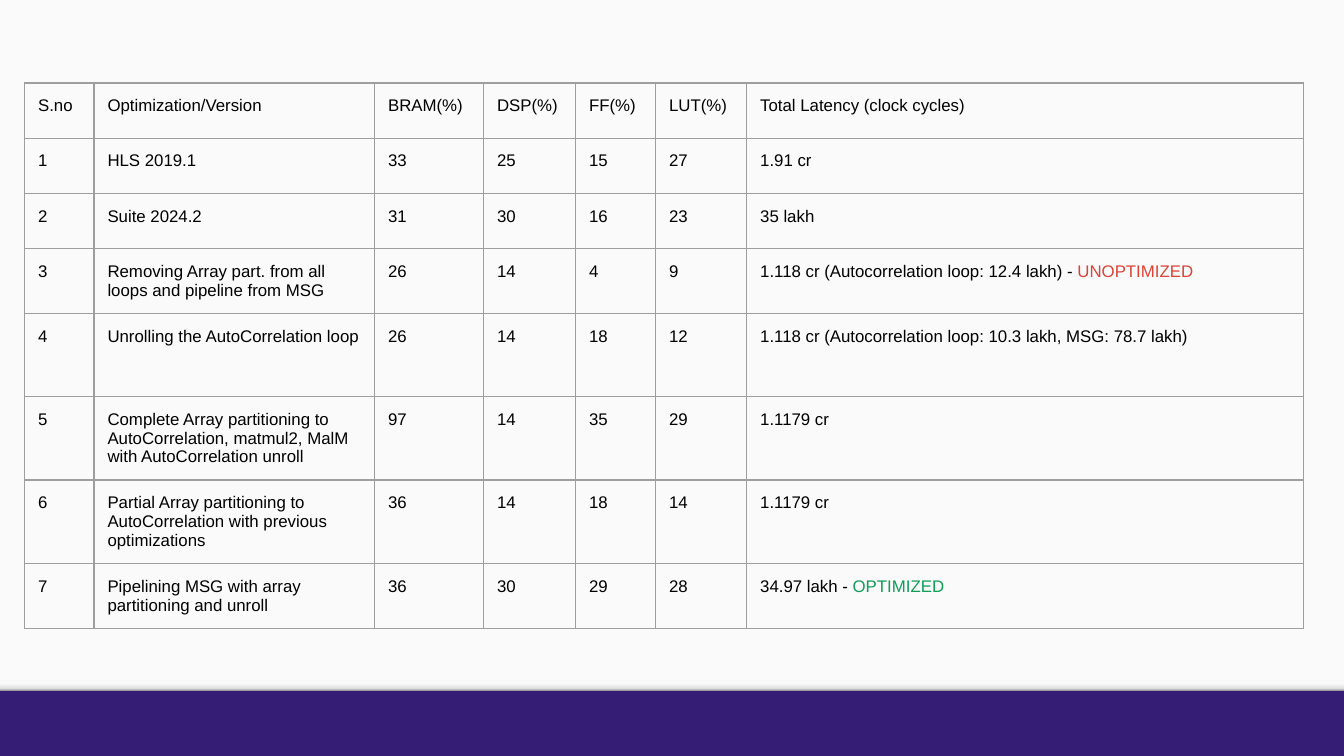
"""Build a slide with a table comparing hardware resource use and latency per optimization."""
from copy import deepcopy

from pptx import Presentation
from pptx.dml.color import RGBColor
from pptx.enum import shapes
from pptx.oxml import parse_xml
from pptx.oxml.ns import nsdecls, qn
from pptx.util import Pt

PURPLE = RGBColor(0x35, 0x1C, 0x75)
PAPER = RGBColor(0xFA, 0xFA, 0xFA)
BLACK = RGBColor(0, 0, 0)
RED = RGBColor(0xDB, 0x44, 0x37)
GREEN = RGBColor(0x0F, 0x9D, 0x58)
BORDER = RGBColor(0x9E, 0x9E, 0x9E)
SHADE = [
    (0, RGBColor(0xF9, 0xF9, 0xF9)),
    (0.36, RGBColor(0xF9, 0xF9, 0xF9)),
    (0.8, RGBColor(0xDE, 0xDE, 0xDE)),
    (1, RGBColor(0x99, 0x99, 0x99)),
]

HEADINGS = ["S.no", "Optimization/Version", "BRAM(%)", "DSP(%)", "FF(%)", "LUT(%)",
            "Total Latency (clock cycles)"]
VERSIONS = [
    ("HLS 2019.1", 33, 25, 15, 27, "1.91 cr"),
    ("Suite 2024.2", 31, 30, 16, 23, "35 lakh"),
    ("Removing Array part. from all loops and pipeline from MSG", 26, 14, 4, 9,
     "1.118 cr (Autocorrelation loop: 12.4 lakh) - "),
    ("Unrolling the AutoCorrelation loop", 26, 14, 18, 12,
     "1.118 cr (Autocorrelation loop: 10.3 lakh, MSG: 78.7 lakh)"),
    ("Complete Array partitioning to AutoCorrelation, matmul2, MalM with AutoCorrelation unroll",
     97, 14, 35, 29, "1.1179 cr"),
    ("Partial Array partitioning to AutoCorrelation with previous optimizations",
     36, 14, 18, 14, "1.1179 cr"),
    ("Pipelining MSG with array partitioning and unroll", 36, 30, 29, 28, "34.97 lakh - "),
]
VERDICTS = {3: ("UNOPTIMIZED", RED), 7: ("OPTIMIZED", GREEN)}

WIDTH, HEIGHT = 720, 405
PAPER_HEIGHT, SHADE_HEIGHT = 370, 5.8
TABLE_LEFT, TABLE_TOP = 13.2, 44.5
COLUMN_WIDTHS = [37.2, 150.3, 58.4, 49.3, 42.9, 48.8, 298.4]
ROW_HEIGHTS = [29.6, 29.6, 29.6, 34.6, 44.6, 44.6, 44.6, 34.6]
INSET = Pt(7.2)


def add_band(slide, top, height):
    band = slide.shapes.add_shape(
        shapes.MSO_SHAPE.RECTANGLE, 0, Pt(top), Pt(WIDTH), Pt(height))
    band.shadow.inherit = False
    band.line.fill.background()
    return band


def shade(band):
    band.fill.gradient()
    band.fill.gradient_angle = 270
    stop_list = band.fill._xPr.find(".//" + qn("a:gsLst"))
    for _ in SHADE[2:]:
        stop_list.append(deepcopy(stop_list[0]))
    for stop, (position, color) in zip(band.fill.gradient_stops, SHADE):
        stop.position = position
        stop.color.rgb = color


def outline(cell):
    properties = cell._tc.get_or_add_tcPr()
    for index, side in enumerate(("lnL", "lnR", "lnT", "lnB")):
        properties.insert(index, parse_xml(
            f'<a:{side} {nsdecls("a")} w="{Pt(0.75)}"><a:solidFill>'
            f'<a:srgbClr val="{BORDER}"/></a:solidFill></a:{side}>'))


def fill_cell(cell, wording, verdict=None):
    cell.fill.background()
    cell.margin_left = cell.margin_right = cell.margin_top = cell.margin_bottom = INSET
    outline(cell)
    cell.text_frame.text = str(wording)
    paragraph = cell.text_frame.paragraphs[0]
    if verdict:
        paragraph.add_run().text = verdict[0]
    for run in paragraph.runs:
        run.font.name = "Arial"
        run.font.size = Pt(9)
        run.font.color.rgb = BLACK
    if verdict:
        paragraph.runs[-1].font.color.rgb = verdict[1]


def add_comparison(slide):
    rows = [HEADINGS] + [(number, *version) for number, version in enumerate(VERSIONS, 1)]
    comparison = slide.shapes.add_table(
        len(rows), len(HEADINGS), Pt(TABLE_LEFT), Pt(TABLE_TOP),
        Pt(sum(COLUMN_WIDTHS)), Pt(sum(ROW_HEIGHTS))).table
    comparison.first_row = comparison.horz_banding = False
    for column, width in zip(comparison.columns, COLUMN_WIDTHS):
        column.width = Pt(width)
    for row, height in zip(comparison.rows, ROW_HEIGHTS):
        row.height = Pt(height)
    latency = len(HEADINGS) - 1
    for r, row in enumerate(rows):
        for c, wording in enumerate(row):
            verdict = VERDICTS.get(r) if c == latency else None
            fill_cell(comparison.cell(r, c), wording, verdict)


def main():
    deck = Presentation()
    deck.slide_width, deck.slide_height = Pt(WIDTH), Pt(HEIGHT)
    slide = deck.slides.add_slide(deck.slide_layouts[6])
    slide.background.fill.solid()
    slide.background.fill.fore_color.rgb = PURPLE
    paper = add_band(slide, 0, PAPER_HEIGHT)
    paper.fill.solid()
    paper.fill.fore_color.rgb = PAPER
    shade(add_band(slide, PAPER_HEIGHT - SHADE_HEIGHT, SHADE_HEIGHT))
    add_comparison(slide)
    deck.save("out.pptx")


if __name__ == "__main__":
    main()
